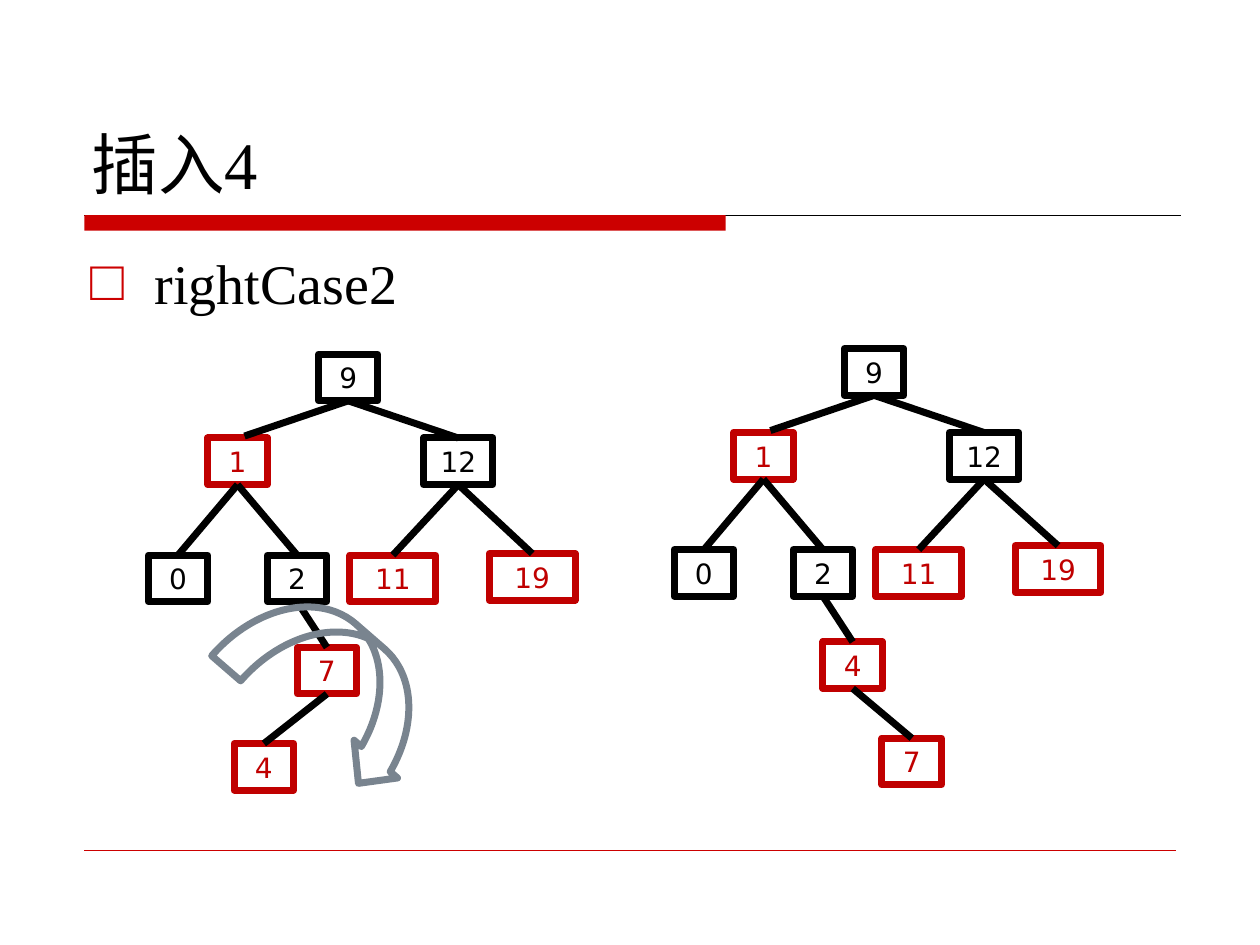
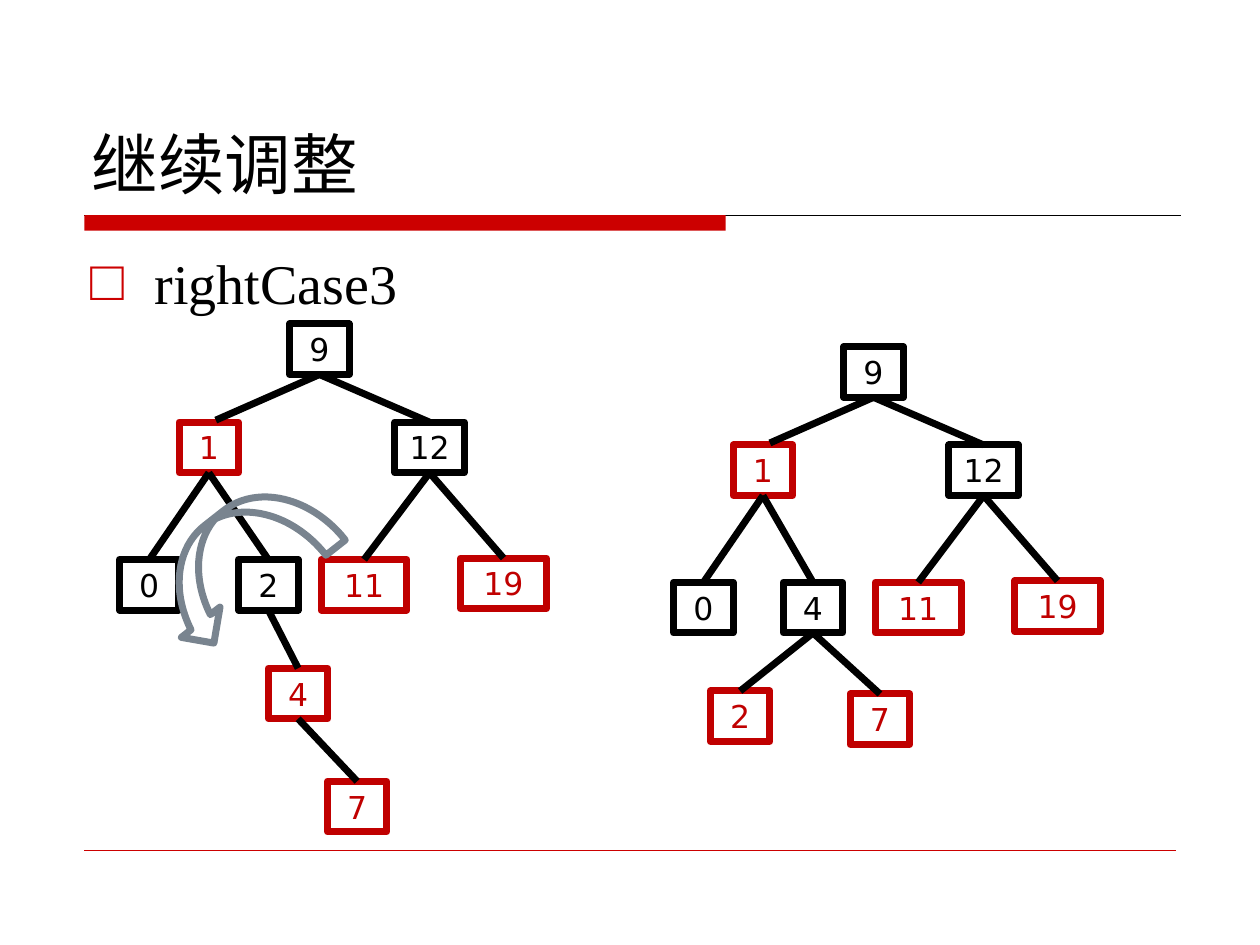
from lxml import etree
from pptx import Presentation
from pptx.dml.color import RGBColor
from pptx.enum.shapes import MSO_CONNECTOR, MSO_SHAPE
from pptx.enum.text import MSO_ANCHOR, PP_ALIGN
from pptx.oxml.ns import qn
from pptx.util import Cm, Pt

RECT = MSO_SHAPE.RECTANGLE
DOWN_ARROW = MSO_SHAPE.CURVED_DOWN_ARROW
RIGHT_ARROW = MSO_SHAPE.CURVED_RIGHT_ARROW
STRAIGHT = MSO_CONNECTOR.STRAIGHT
TOP, BOTTOM = 0, 2

BLACK, NODE_RED, BAND_RED, ARROW_GREY = "000000", "C00000", "CC0000", "79848F"
SERIF, SANS = "Times New Roman", "DejaVu Sans"
STROKE = 4

TITLE = {"box": (1.6, 0.84, 22.23, 3.38), "size": 38, "anchor": MSO_ANCHOR.BOTTOM}
BODY = {"box": (1.57, 4.88, 22.23, 1.8), "size": 32, "anchor": MSO_ANCHOR.TOP}
BULLET_INDENT = 1.3

NODE_WIDTHS = {"12": 1.4, "11": 1.73, "19": 1.73}
SINGLE_DIGIT_WIDTH = 1.2

# label: (parent, level, centre offset from the root, colour)
COMMON_NODES = {
    "9": (None, 0, 0, BLACK),
    "1": ("9", 1, -2.23, NODE_RED),
    "12": ("9", 1, 2.22, BLACK),
    "0": ("1", 2, -3.43, BLACK),
    "11": ("12", 2, 0.9, NODE_RED),
    "19": ("12", 2, 3.71, NODE_RED),
}
INNER_TWO = {"2": ("1", 2, -1.03, BLACK)}
ZIGZAG = {**COMMON_NODES, **INNER_TWO,
          "7": ("2", 3, -0.43, NODE_RED),
          "4": ("7", 4, -1.7, NODE_RED)}
RIGHT_CHAIN = {**COMMON_NODES, **INNER_TWO,
               "4": ("2", 3, -0.43, NODE_RED),
               "7": ("4", 4, 0.76, NODE_RED)}
BALANCED = {**COMMON_NODES,
            "4": ("1", 2, -1.22, BLACK),
            "2": ("4", 3, -2.69, NODE_RED),
            "7": ("4", 3, 0.13, NODE_RED)}

SLIDES = [
    {
        "title": "插入4", "case": "rightCase2",
        "node_height": 0.94, "node_size": 16,
        "levels": (0, 1.69, 4.05, 5.91, 7.85),
        "trees": [
            {"nodes": ZIGZAG, "root": (7.02, 7.14), "lifts": {"19": 0.03}},
            {"nodes": RIGHT_CHAIN, "root": (17.62, 7.03), "lifts": {"19": 0.08}},
        ],
        "arrow": {"kind": DOWN_ARROW, "box": (4.5, 12.6, 4.5, 2.39),
                  "rotation": 41, "adjust": (0.323, 0.486, 0.25)},
    },
    {
        "title": "继续调整", "case": "rightCase3",
        "node_height": 1.02, "node_size": 18,
        "levels": (0, 1.98, 4.75, 6.94, 9.22),
        "trees": [
            {"nodes": RIGHT_CHAIN, "root": (6.44, 6.53), "lifts": {"19": 0.03}},
            {"nodes": BALANCED, "root": (17.61, 6.99),
             "lifts": {"19": 0.03, "7": -0.06}},
        ],
        "arrow": {"kind": RIGHT_ARROW, "box": (3.84, 9.37, 1.98, 3.86),
                  "rotation": 51.9, "adjust": ()},
    },
]


def rgb(hex_colour):
    return RGBColor.from_string(hex_colour)


def lengths(values):
    return [Cm(value) for value in values]


def set_values(target, values):
    for attribute, value in values.items():
        setattr(target, attribute, value)


def write(paragraph, text, font, size, colour):
    run = paragraph.add_run()
    run.text = text
    set_values(run.font, {"name": font, "size": Pt(size)})
    run.font.color.rgb = rgb(colour)


def set_line(item, colour, width):
    item.line.color.rgb = rgb(colour)
    item.line.width = Pt(width)


def add_outline(slide, kind, box, colour):
    outline = slide.shapes.add_shape(kind, *lengths(box))
    outline.shadow.inherit = False
    outline.fill.background()
    set_line(outline, colour, STROKE)
    return outline


def add_line(slide, start, end, colour, width):
    line = slide.shapes.add_connector(STRAIGHT, *lengths((*start, *end)))
    set_line(line, colour, width)
    etree.SubElement(line.element.spPr, qn("a:effectLst"))
    return line


def add_heading(slide, text, style):
    heading = slide.shapes.add_textbox(*lengths(style["box"])).text_frame
    set_values(heading, {"word_wrap": True, "vertical_anchor": style["anchor"]})
    paragraph = heading.paragraphs[0]
    write(paragraph, text, SERIF, style["size"], BLACK)
    return paragraph


def add_bullet(paragraph):
    paragraph.space_before = Pt(4)
    properties = paragraph._p.get_or_add_pPr()
    properties.set("marL", str(Cm(BULLET_INDENT)))
    properties.set("indent", str(-Cm(BULLET_INDENT)))
    colour = etree.SubElement(properties, qn("a:buClr"))
    etree.SubElement(colour, qn("a:srgbClr"), val=BAND_RED)
    etree.SubElement(properties, qn("a:buFont"), typeface=SERIF)
    etree.SubElement(properties, qn("a:buChar"), char="□")


def add_frame(slide, title, case):
    add_line(slide, (1.7, 4.34), (23.8, 4.34), BLACK, 0.75)
    band = slide.shapes.add_shape(RECT, *lengths((1.7, 4.34, 12.93, 0.31)))
    band.shadow.inherit = False
    band.fill.solid()
    band.fill.fore_color.rgb = rgb(BAND_RED)
    band.line.fill.background()
    add_line(slide, (1.7, 17.14), (23.7, 17.14), BAND_RED, 0.25)
    add_heading(slide, title, TITLE)
    add_bullet(add_heading(slide, case, BODY))


def add_node(slide, label, centre, top, height, size, colour):
    width = NODE_WIDTHS.get(label, SINGLE_DIGIT_WIDTH)
    node = add_outline(slide, RECT, (centre - width / 2, top, width, height), colour)
    set_values(node.text_frame, {"word_wrap": False,
                                 "vertical_anchor": MSO_ANCHOR.MIDDLE})
    paragraph = node.text_frame.paragraphs[0]
    paragraph.alignment = PP_ALIGN.CENTER
    write(paragraph, label, SANS, size, colour)
    return node


def add_tree(slide, tree, levels, height, size):
    root_centre, root_top = tree["root"]
    drawn = {}
    for label, (parent, level, offset, colour) in tree["nodes"].items():
        centre = root_centre + offset
        top = root_top + levels[level] - tree["lifts"].get(label, 0)
        drawn[label] = add_node(slide, label, centre, top, height, size, colour)
        if parent is None:
            continue
        shift = 0.14 if label == "1" else 0
        edge = add_line(slide, tree["root"], (centre + shift, top - 0.04), BLACK, STROKE)
        edge.begin_connect(drawn[parent], BOTTOM)
        if not shift:
            edge.end_connect(drawn[label], TOP)


def add_rotation_arrow(slide, kind, box, rotation, adjust):
    arrow = add_outline(slide, kind, box, ARROW_GREY)
    arrow.rotation = rotation
    for index, value in enumerate(adjust):
        arrow.adjustments[index] = value


def main():
    deck = Presentation()
    set_values(deck, {"slide_width": Cm(25.4), "slide_height": Cm(19.05)})
    for content in SLIDES:
        slide = deck.slides.add_slide(deck.slide_layouts[6])
        add_frame(slide, content["title"], content["case"])
        for tree in content["trees"]:
            add_tree(slide, tree, content["levels"],
                     content["node_height"], content["node_size"])
        add_rotation_arrow(slide, **content["arrow"])
    deck.save("out.pptx")


if __name__ == "__main__":
    main()
